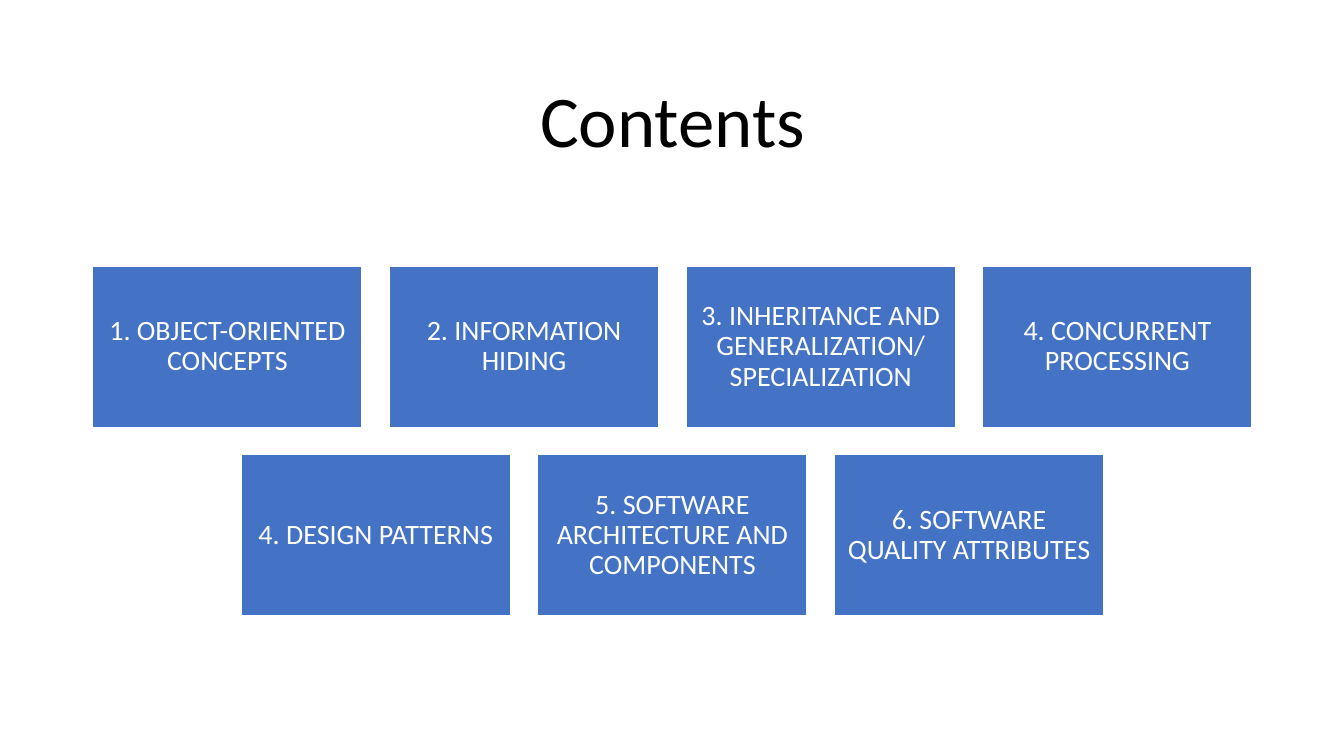
from dataclasses import dataclass

from pptx import Presentation
from pptx.dml.color import RGBColor
from pptx.enum import shapes, text
from pptx.util import Inches, Pt


@dataclass(frozen=True)
class Theme:
    font: str = "Calibri"
    title_size: float = 52
    topic_size: float = 20
    black: RGBColor = RGBColor(0, 0, 0)
    white: RGBColor = RGBColor(255, 255, 255)
    blue: RGBColor = RGBColor(0x44, 0x72, 0xC4)


THEME = Theme()

TOPIC_ROWS = [
    [
        "1. OBJECT-ORIENTED CONCEPTS",
        "2. INFORMATION HIDING",
        "3. INHERITANCE AND GENERALIZATION/ SPECIALIZATION",
        "4. CONCURRENT PROCESSING",
    ],
    [
        "4. DESIGN PATTERNS",
        "5. SOFTWARE ARCHITECTURE AND COMPONENTS",
        "6. SOFTWARE QUALITY ATTRIBUTES",
    ],
]


def write_centred(shape, words, size, color):
    frame = shape.text_frame
    frame.word_wrap = True
    frame.auto_size = text.MSO_AUTO_SIZE.NONE
    frame.vertical_anchor = text.MSO_ANCHOR.MIDDLE
    para = frame.paragraphs[0]
    para.alignment = text.PP_ALIGN.CENTER
    para.line_spacing = 0.9
    span = para.add_run()
    span.text = words
    span.font.name = THEME.font
    span.font.size = Pt(size)
    span.font.color.rgb = color


def place_title(page, words, left, top, width, height):
    title = page.shapes.title
    title.left, title.top = Inches(left), Inches(top)
    title.width, title.height = Inches(width), Inches(height)
    write_centred(title, words, THEME.title_size, THEME.black)


def add_topic(group, words, left, top, width, height):
    box = group.shapes.add_shape(
        shapes.MSO_SHAPE.RECTANGLE,
        Inches(left), Inches(top), Inches(width), Inches(height),
    )
    box.shadow.inherit = False
    box.fill.solid()
    box.fill.fore_color.rgb = THEME.blue
    box.line.color.rgb = THEME.white
    box.line.width = Pt(1)
    frame = box.text_frame
    frame.margin_left = frame.margin_right = Inches(0.08)
    frame.margin_top = frame.margin_bottom = Inches(0.08)
    write_centred(box, words, THEME.topic_size, THEME.white)


def add_topic_grid(page, rows, left, top, width, gap=0.27, box_height=1.6):
    """Fill the width with the longest row and centre the shorter ones."""
    group = page.shapes.add_group_shape()
    columns = max(len(row) for row in rows)
    box_width = (width - gap * (columns - 1)) / columns
    for row_index, row in enumerate(rows):
        indent = (columns - len(row)) * (box_width + gap) / 2
        for column, words in enumerate(row):
            add_topic(
                group, words,
                left + indent + column * (box_width + gap),
                top + row_index * (box_height + gap),
                box_width, box_height,
            )


def add_contents_page(deck):
    page = deck.slides.add_slide(deck.slide_layouts[5])
    left, width = 0.92, 11.5
    place_title(page, "Contents", left, 0.61, width, 1.24)
    add_topic_grid(page, TOPIC_ROWS, left, 2.64, width)


def main():
    deck = Presentation()
    deck.slide_width, deck.slide_height = Inches(13.33), Inches(7.5)
    add_contents_page(deck)
    deck.save("out.pptx")


if __name__ == "__main__":
    main()
